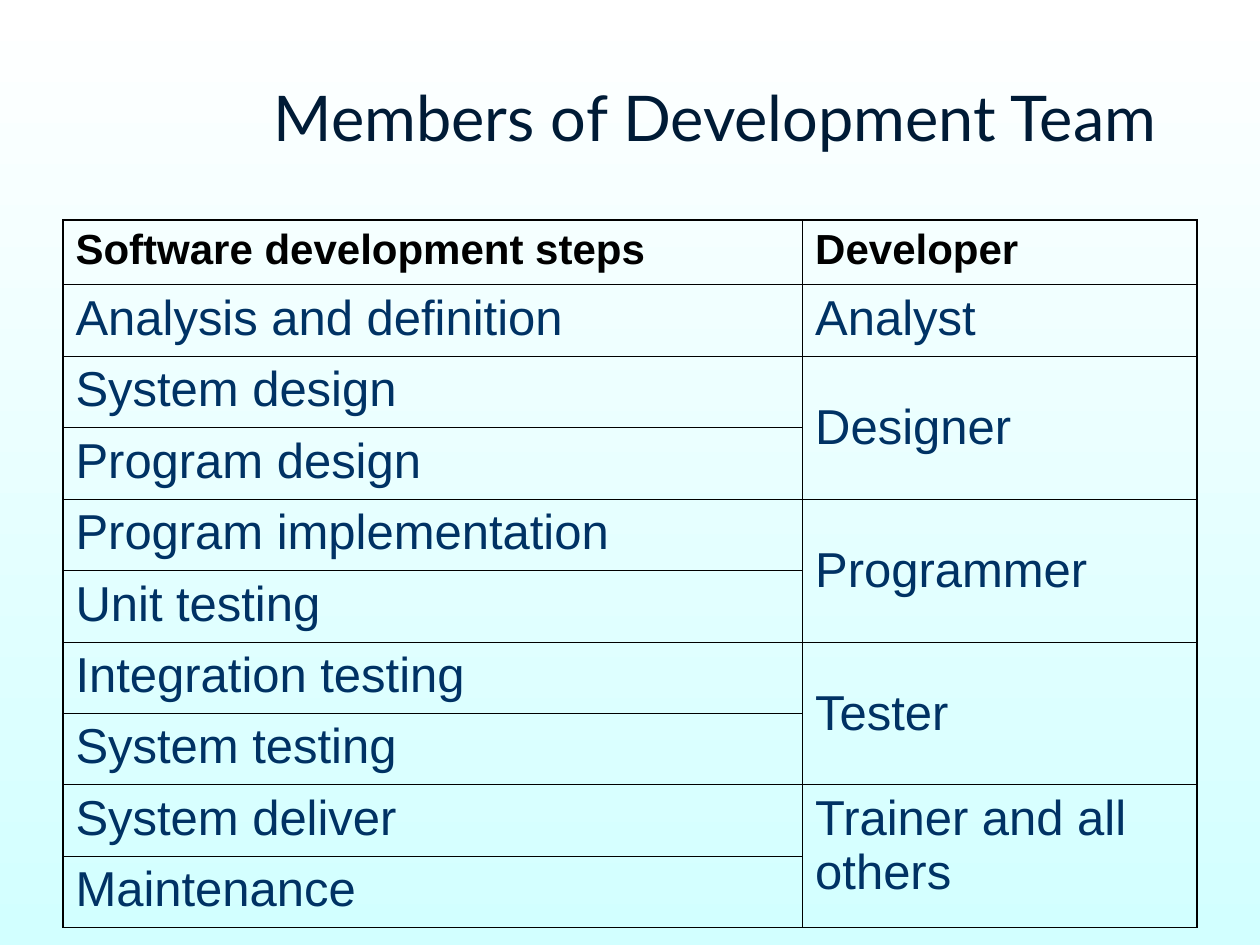
from dataclasses import dataclass
from lxml.etree import SubElement
from pptx import Presentation
from pptx.dml.color import RGBColor
from pptx.enum.text import MSO_ANCHOR, PP_ALIGN
from pptx.oxml.ns import qn
from pptx.util import Cm, Pt


@dataclass(frozen=True)
class Theme:
    title_font: str = "Lato"
    table_font: str = "Arial"
    title_color: str = "001B36"
    header_color: str = "000000"
    body_color: str = "003264"
    border_color: str = "000000"
    background: tuple = ("FFFFFF", "D2FFFF")
    title_size: int = 36
    header_size: int = 24
    body_size: int = 28
    inner_border: float = 0.45
    outer_border: float = 1.08


theme = Theme()


def add_span(para, text, font, size, color, bold=False):
    span = para.add_run()
    span.text = text
    span.font.name = font
    span.font.size = Pt(size)
    span.font.bold = bold
    span.font.color.rgb = RGBColor.from_string(color)


def add_border(cell, side, width):
    line = SubElement(cell._tc.get_or_add_tcPr(), qn(f"a:ln{side}"), w=str(Pt(width)))
    fill = SubElement(line, qn("a:solidFill"))
    SubElement(fill, qn("a:srgbClr"), val=theme.border_color)


deck = Presentation()
deck.slide_width, deck.slide_height = Cm(25.4), Cm(19.05)
page = deck.slides.add_slide(deck.slide_layouts[5])

# Background, running from top to bottom
background = page.background.fill
background.gradient()
background.gradient_angle = 270
for stop, position, color in zip(background.gradient_stops, (0, 1), theme.background):
    stop.position = position
    stop.color.rgb = RGBColor.from_string(color)

# Title
title = page.shapes.title
title.left, title.top, title.width, title.height = Cm(4.7), Cm(0.76), Cm(19.43), Cm(3.18)
title.text_frame.word_wrap = True
title.text_frame.vertical_anchor = MSO_ANCHOR.MIDDLE
para = title.text_frame.paragraphs[0]
para.alignment = PP_ALIGN.CENTER
add_span(para, "Members of Development Team", theme.title_font, theme.title_size, theme.title_color)

# Each developer with the steps that belong to the role
groups = [
    ("Developer", ["Software development steps"]),
    ("Analyst", ["Analysis and definition"]),
    ("Designer", ["System design", "Program design"]),
    ("Programmer", ["Program implementation", "Unit testing"]),
    ("Tester", ["Integration testing", "System testing"]),
    ("Trainer and all others", ["System deliver", "Maintenance"]),
]
row_count = sum(len(steps) for _, steps in groups)

# Table grid
frame = page.shapes.add_table(row_count, 2, Cm(1.27), Cm(4.44), Cm(22.86), Cm(14.28))
table = frame.table
table.first_row = table.horz_banding = False
for column, width in zip(table.columns, (14.91, 7.95)):
    column.width = Cm(width)
for index, row in enumerate(table.rows):
    row.height = Cm(1.44 if index else 1.3)

# Table text
first = 0
for developer, steps in groups:
    last = first + len(steps) - 1
    role = table.cell(first, 1)
    if last > first:
        role.merge(table.cell(last, 1))
        if last < row_count - 1:
            role.vertical_anchor = MSO_ANCHOR.MIDDLE
    entries = [(table.cell(first + offset, 0), step) for offset, step in enumerate(steps)]
    for cell, text in entries + [(role, developer)]:
        para = cell.text_frame.paragraphs[0]
        if first == 0:
            para.space_before = Pt(5 if cell is not role else 6)
            add_span(para, text, theme.table_font, theme.header_size, theme.header_color, True)
        else:
            para.space_before = Pt(7)
            add_span(para, text, theme.table_font, theme.body_size, theme.body_color)
    first = last + 1

# Table borders, heavier around the outside
for row in range(row_count):
    for column in range(2):
        cell = table.cell(row, column)
        bottom = row + cell.span_height if cell.is_merge_origin else row + 1
        outer_edges = {"L": column == 0, "R": column == 1, "T": row == 0, "B": bottom == row_count}
        for side, is_outer in outer_edges.items():
            if side == "T" and cell.is_spanned:
                continue
            add_border(cell, side, theme.outer_border if is_outer else theme.inner_border)
        cell.fill.background()

deck.save("out.pptx")
